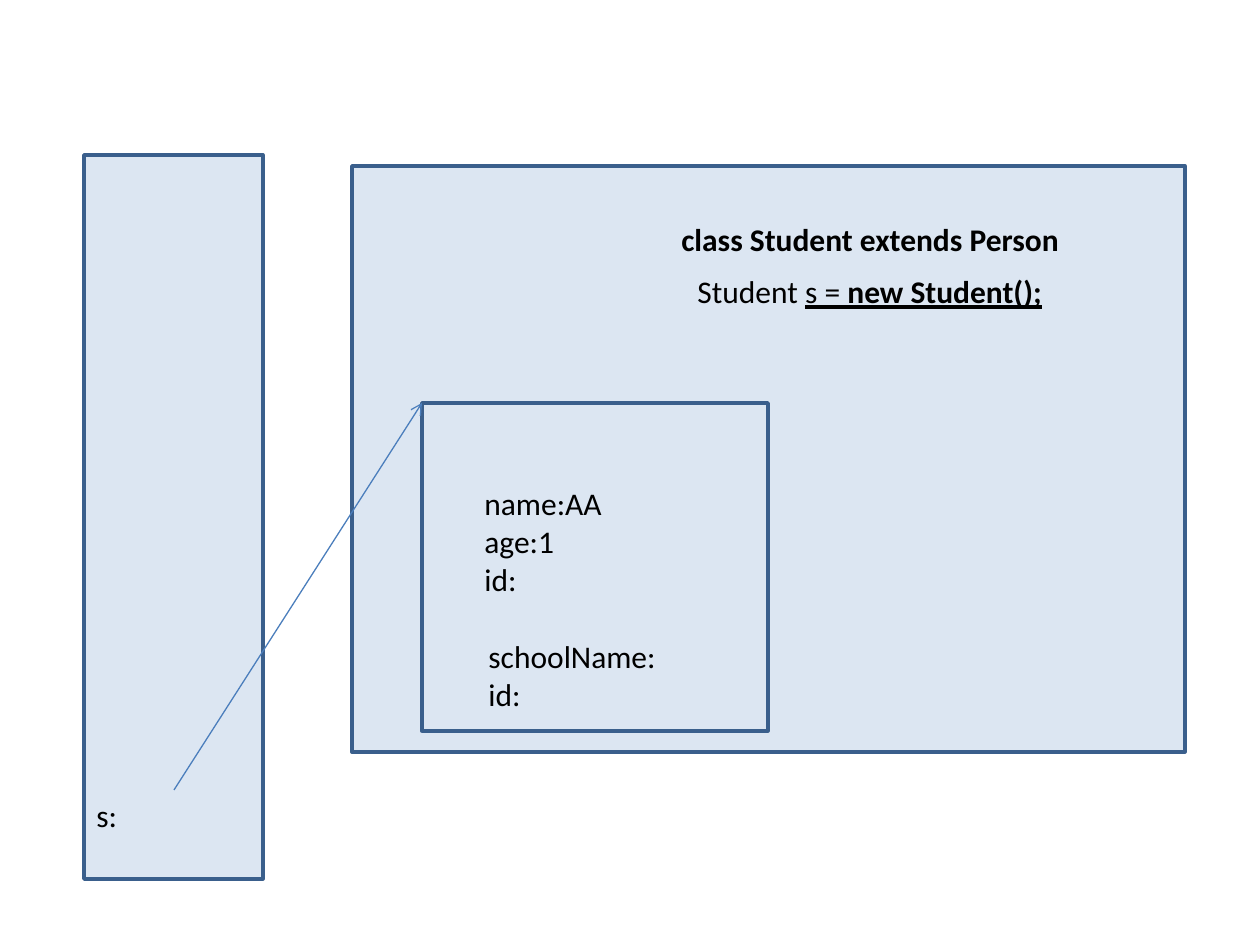
import pptx
import pptx.dml.color
import pptx.enum.shapes
import pptx.enum.text
import pptx.oxml
import pptx.oxml.ns
import pptx.util
from dataclasses import dataclass


@dataclass(frozen=True)
class Theme:
    panel: str = "DCE6F2"
    border: str = "3A5F8C"
    arrow: str = "4B7EBC"
    text: str = "000000"
    font: str = "Calibri"
    text_size: int = 18
    border_width: float = 2
    arrow_width: float = 0.75


theme = Theme()
EMU_PER_PX = 914400 / 126


def px(*lengths):
    return [round(length * EMU_PER_PX) for length in lengths]


def color(value):
    return pptx.dml.color.RGBColor.from_string(value)


deck = pptx.Presentation()
deck.slide_width, deck.slide_height = px(1260, 945)
page = deck.slides.add_slide(deck.slide_layouts[6])

stack_area = (84, 155, 179, 724)
heap_area = (352, 166, 833, 586)
student_object = (422, 403, 346, 328)

for bounds in (stack_area, heap_area, student_object):
    panel = page.shapes.add_shape(pptx.enum.shapes.MSO_SHAPE.RECTANGLE, *px(*bounds))
    panel.shadow.inherit = False
    panel.fill.solid()
    panel.fill.fore_color.rgb = color(theme.panel)
    panel.line.color.rgb = color(theme.border)
    panel.line.width = pptx.util.Pt(theme.border_width)

PLAIN, UNDERLINED, BOLD, BOLD_UNDERLINED = (
    (False, False), (False, True), (True, False), (True, True))

labels = [
    ((669, 214, 406, 50), False, [[("class Student extends Person", BOLD)]]),
    ((685, 266, 373, 50), False, [[("Student ", PLAIN), ("s = ", UNDERLINED),
                                   ("new Student();", BOLD_UNDERLINED)]]),
    ((84, 790, 228, 50), True, [[("s:", PLAIN)]]),
    ((476, 631, 307, 89), True, [[("schoolName:", PLAIN)], [("id:", PLAIN)]]),
    ((472, 478, 244, 127), True, [[("name:AA", PLAIN)], [("age:1", PLAIN)], [("id:", PLAIN)]]),
]

for bounds, wraps, lines in labels:
    box = page.shapes.add_textbox(*px(*bounds))
    frame = box.text_frame
    frame.word_wrap = wraps
    frame.auto_size = pptx.enum.text.MSO_AUTO_SIZE.SHAPE_TO_FIT_TEXT
    for index, line in enumerate(lines):
        para = frame.add_paragraph() if index else frame.paragraphs[0]
        para.font.name = theme.font
        para.font.size = pptx.util.Pt(theme.text_size)
        para.font.color.rgb = color(theme.text)
        for words, (bold, underline) in line:
            span = para.add_run()
            span.text = words
            if bold:
                span.font.bold = True
            if underline:
                span.font.underline = True

reference = page.shapes.add_connector(
    pptx.enum.shapes.MSO_CONNECTOR.STRAIGHT, *px(174, 790, *student_object[:2]))
reference.line.color.rgb = color(theme.arrow)
reference.line.width = pptx.util.Pt(theme.arrow_width)
arrowhead = pptx.oxml.parse_xml(f'<a:tailEnd {pptx.oxml.ns.nsdecls("a")} type="arrow"/>')
no_effects = pptx.oxml.parse_xml(f'<a:effectLst {pptx.oxml.ns.nsdecls("a")}/>')
properties = reference.element.spPr
properties.find(pptx.oxml.ns.qn("a:ln")).append(arrowhead)
properties.append(no_effects)

deck.save("out.pptx")
